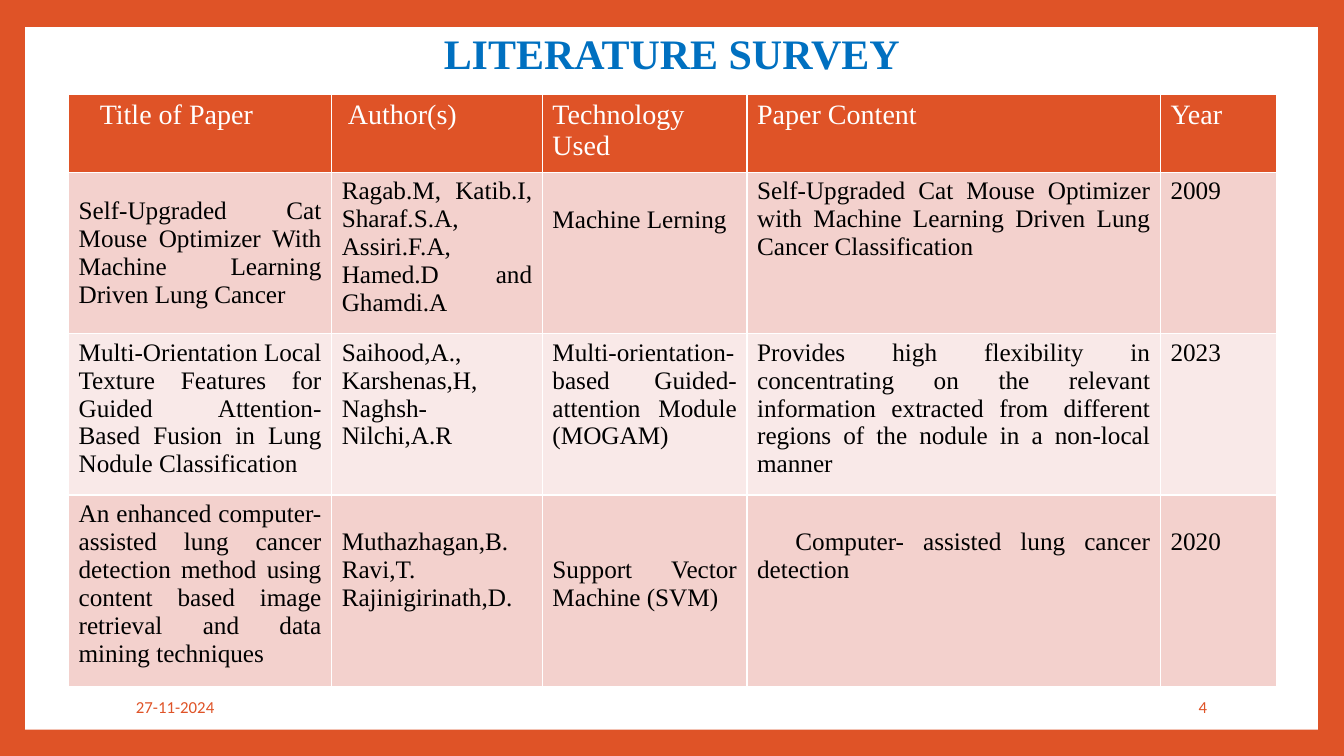
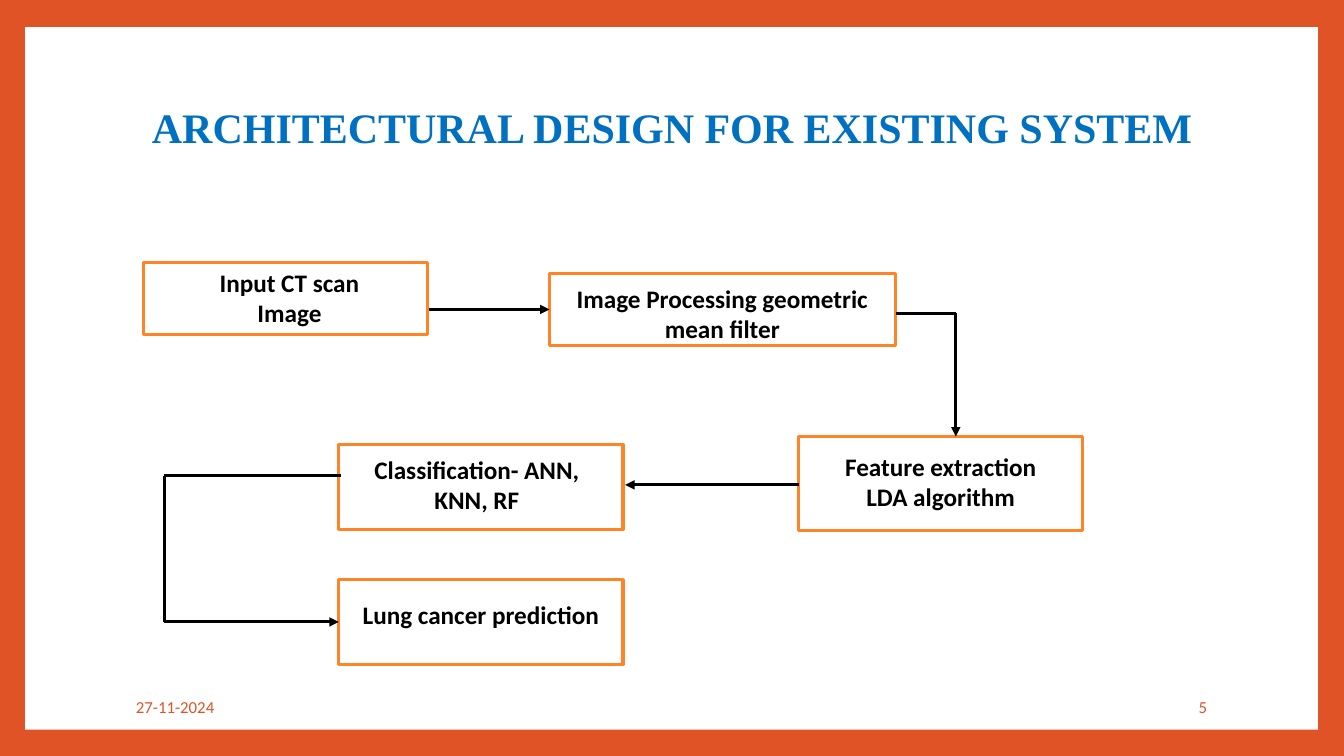
from dataclasses import dataclass
from typing import Any

import lxml.etree
import pptx
import pptx.dml.color
import pptx.enum.shapes
import pptx.enum.text
import pptx.oxml.ns
import pptx.util

PX = 9144  # EMU; 100 px make one inch
ALIGN = pptx.enum.text.PP_ALIGN
ANCHOR = pptx.enum.text.MSO_ANCHOR
RECT = pptx.enum.shapes.MSO_SHAPE.RECTANGLE
STRAIGHT = pptx.enum.shapes.MSO_CONNECTOR.STRAIGHT
qn = pptx.oxml.ns.qn


@dataclass(frozen=True)
class Style:
    font: str
    size: int
    color: str
    bold: bool = False


@dataclass(frozen=True)
class Theme:
    accent: str = "DF5327"
    panel: str = "FFFFFF"
    box_line: str = "FF8427"
    arrow: str = "000000"
    bands: tuple[str, str] = ("F3D1CD", "F9E9E8")
    line_pt: float = 2.25
    grid_pt: float = 1
    title: Style = Style("Times New Roman", 30, "0070C0", True)
    header: Style = Style("Times New Roman", 20, "FFFFFF")
    body: Style = Style("Times New Roman", 18, "000000")
    label: Style = Style("Calibri", 18, "000000", True)
    footer: Style = Style("Calibri", 12, "DF5327")


THEME = Theme()


@dataclass(frozen=True)
class Area:
    left: int
    top: int
    width: int
    height: int

    def emu(self) -> tuple[int, ...]:
        return tuple(v * PX for v in (self.left, self.top, self.width, self.height))


@dataclass(frozen=True)
class Entry:
    """Cell text; drop counts the lines it starts below the top, indent is in px."""
    text: str
    drop: int = 0
    indent: int = 0
    anchor: Any = ANCHOR.TOP


@dataclass(frozen=True)
class Step:
    """Flow chart box; inset is the space above its text, shift moves the text sideways."""
    text: str
    area: Area
    inset: int
    shift: int = 0


PANEL = Area(25, 27, 1282, 697)
DATE = Area(125, 681, 255, 40)
NUMBER = Area(1020, 681, 187, 40)
LINE_STEP = 28
MARGIN_X, MARGIN_Y = 10, 5

COLUMNS = (261, 209, 203, 410, 115)
ROWS = (77, 160, 160, 190)
PAPERS = (
    (Entry("Title of Paper", indent=21), Entry("Author(s)", indent=6),
     Entry("Technology Used"), Entry("Paper Content"), Entry("Year")),
    (Entry("Self-Upgraded Cat Mouse Optimizer With Machine Learning Driven Lung Cancer",
           anchor=ANCHOR.MIDDLE),
     Entry("Ragab.M, Katib.I, Sharaf.S.A, Assiri.F.A, Hamed.D and Ghamdi.A"),
     Entry("Machine Lerning", drop=1),
     Entry("Self-Upgraded Cat Mouse Optimizer with Machine Learning Driven Lung "
           "Cancer Classification"),
     Entry("2009")),
    (Entry("Multi-Orientation Local Texture Features for Guided Attention-Based Fusion "
           "in Lung Nodule Classification"),
     Entry("Saihood,A., Karshenas,H, Naghsh-Nilchi,A.R"),
     Entry("Multi-orientation-based Guided-attention Module (MOGAM)"),
     Entry("Provides high flexibility in concentrating on the relevant information "
           "extracted from different regions of the nodule in a non-local manner"),
     Entry("2023")),
    (Entry("An enhanced computer- assisted lung cancer detection method using content "
           "based image retrieval and data mining techniques"),
     Entry("Muthazhagan,B. Ravi,T. Rajinigirinath,D.", drop=1),
     Entry("Support Vector Machine (SVM)", drop=2),
     Entry("Computer- assisted lung cancer detection", drop=1, indent=38),
     Entry("2020", drop=1)),
)

STEPS = (
    Step("Input CT scan\vImage", Area(142, 260, 282, 72), 5, 4),
    Step("Image Processing geometric mean filter", Area(545, 271, 343, 72), 10),
    Step("Feature extraction\nLDA algorithm", Area(792, 433, 282, 93), 15),
    Step("Classification- ANN, KNN, RF", Area(336, 441, 282, 84), 10, -4),
    Step("Lung cancer prediction", Area(336, 575, 282, 84), 20),
)
ROUTES = (
    ((425, 307), (545, 307)),
    ((889, 311), (948, 311), (948, 433)),
    ((792, 481), (620, 481)),
    ((338, 472), (163, 472), (163, 617), (336, 617)),
)


def rgb(color: str) -> pptx.dml.color.RGBColor:
    return pptx.dml.color.RGBColor.from_string(color)


def set_text(tf, text: str, style: Style, align=ALIGN.LEFT) -> None:
    tf.text = text
    for p in tf.paragraphs:
        p.alignment = align
        for r in p.runs:
            r.font.name = style.font
            r.font.size = pptx.util.Pt(style.size)
            r.font.bold = style.bold
            r.font.color.rgb = rgb(style.color)


def add_text(s, area: Area, text: str, style: Style, align=ALIGN.LEFT,
             anchor=ANCHOR.TOP, wrap: bool = True) -> None:
    tf = s.shapes.add_textbox(*area.emu()).text_frame
    tf.word_wrap = wrap
    tf.vertical_anchor = anchor
    set_text(tf, text, style, align)


def add_rect(s, area: Area, line: str | None = None):
    sp = s.shapes.add_shape(RECT, *area.emu())
    sp.shadow.inherit = False
    sp.fill.solid()
    sp.fill.fore_color.rgb = rgb(THEME.panel)
    if line is None:
        sp.line.fill.background()
    else:
        sp.line.color.rgb = rgb(line)
        sp.line.width = pptx.util.Pt(THEME.line_pt)
    return sp


def add_slide(prs, title: str, title_area: Area, number: int):
    s = prs.slides.add_slide(prs.slide_layouts[6])
    s.background.fill.solid()
    s.background.fill.fore_color.rgb = rgb(THEME.accent)
    add_rect(s, PANEL)
    add_text(s, title_area, title, THEME.title, ALIGN.CENTER, wrap=False)
    add_text(s, DATE, "27-11-2024", THEME.footer, anchor=ANCHOR.MIDDLE)
    add_text(s, NUMBER, str(number), THEME.footer, ALIGN.RIGHT, ANCHOR.MIDDLE)
    return s


def set_borders(cell) -> None:
    tc_pr = cell._tc.get_or_add_tcPr()
    for i, side in enumerate(("a:lnL", "a:lnR", "a:lnT", "a:lnB")):
        ln = lxml.etree.Element(qn(side), w=str(pptx.util.Pt(THEME.grid_pt)))
        fill = lxml.etree.SubElement(ln, qn("a:solidFill"))
        lxml.etree.SubElement(fill, qn("a:srgbClr"), val=THEME.panel)
        tc_pr.insert(i, ln)


def fill_cell(cell, entry: Entry, style: Style, color: str) -> None:
    cell.fill.solid()
    cell.fill.fore_color.rgb = rgb(color)
    set_borders(cell)
    cell.vertical_anchor = entry.anchor
    cell.margin_top = (MARGIN_Y + entry.drop * LINE_STEP) * PX
    set_text(cell.text_frame, entry.text, style, ALIGN.JUSTIFY)
    if entry.indent:
        p_pr = cell.text_frame.paragraphs[0]._p.get_or_add_pPr()
        p_pr.set("indent", str(entry.indent * PX))


def add_papers(s, left: int, top: int) -> None:
    area = Area(left, top, sum(COLUMNS), sum(ROWS))
    table = s.shapes.add_table(len(ROWS), len(COLUMNS), *area.emu()).table
    table.horz_banding = False
    for column, width in zip(table.columns, COLUMNS):
        column.width = width * PX
    for i, (row, height, entries) in enumerate(zip(table.rows, ROWS, PAPERS)):
        row.height = height * PX
        style = THEME.body if i else THEME.header
        color = THEME.bands[(i - 1) % 2] if i else THEME.accent
        for cell, entry in zip(row.cells, entries):
            fill_cell(cell, entry, style, color)


def add_step(s, step: Step) -> None:
    tf = add_rect(s, step.area, THEME.box_line).text_frame
    tf.word_wrap = True
    tf.vertical_anchor = ANCHOR.TOP
    tf.margin_top = step.inset * PX
    tf.margin_bottom = 0
    tf.margin_left = (MARGIN_X + max(0, 2 * step.shift)) * PX
    tf.margin_right = (MARGIN_X + max(0, -2 * step.shift)) * PX
    set_text(tf, step.text, THEME.label, ALIGN.CENTER)


def add_route(s, points: tuple[tuple[int, int], ...]) -> None:
    """Joins the points by straight lines; the last one ends in an arrowhead."""
    for start, end in zip(points, points[1:]):
        line = s.shapes.add_connector(STRAIGHT, *(v * PX for v in start + end))
        line.line.color.rgb = rgb(THEME.arrow)
        line.line.width = pptx.util.Pt(THEME.line_pt)
        sp_pr = line._element.spPr
        if end == points[-1]:
            lxml.etree.SubElement(sp_pr.find(qn("a:ln")), qn("a:tailEnd"), type="triangle")
        lxml.etree.SubElement(sp_pr, qn("a:effectLst"))


def main() -> None:
    prs = pptx.Presentation()
    prs.slide_width, prs.slide_height = 1333 * PX, 750 * PX

    s = add_slide(prs, "LITERATURE SURVEY", Area(428, 22, 477, 61), 4)
    add_papers(s, 68, 94)

    s = add_slide(prs, "ARCHITECTURAL DESIGN FOR EXISTING SYSTEM", Area(136, 96, 1062, 61), 5)
    for step in STEPS:
        add_step(s, step)
    for points in ROUTES:
        add_route(s, points)

    prs.save("out.pptx")


if __name__ == "__main__":
    main()
